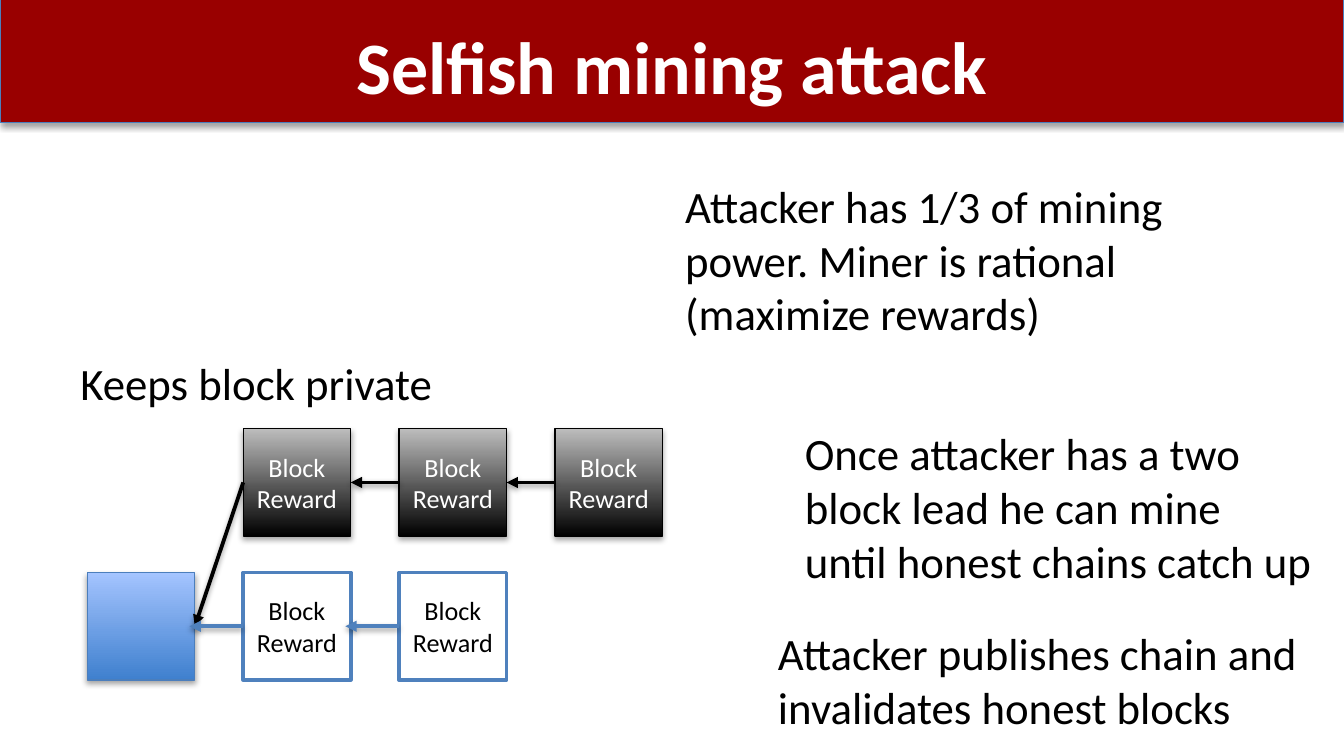
import pptx
import pptx.util
import pptx.dml.color
import pptx.enum.shapes
import pptx.enum.text
import pptx.oxml
import pptx.oxml.ns

Inches = pptx.util.Inches
Pt = pptx.util.Pt
RGB = pptx.dml.color.RGBColor.from_string
RECTANGLE = pptx.enum.shapes.MSO_SHAPE.RECTANGLE
STRAIGHT = pptx.enum.shapes.MSO_CONNECTOR.STRAIGHT
CENTER = pptx.enum.text.PP_ALIGN.CENTER
MIDDLE = pptx.enum.text.MSO_ANCHOR.MIDDLE

COLORS = {
    "band": "990000", "edge": "4B7EBC", "blue": "4F81BD",
    "blue_dark": "3F80CE", "blue_light": "A4C4FF",
    "black": "000000", "gray": "BDBDBD", "white": "FFFFFF",
}
FONT = "Calibri"
LEFT, COLUMN = 0.65, 1.16
PRIVATE_ROW, PUBLIC_ROW = 3.19, 4.26
BLOCK = 0.8
OVERLAP = 0.04


def add_shadow(shape, opacity, distance):
    properties = shape._element.spPr
    for effects in properties.findall(pptx.oxml.ns.qn("a:effectLst")):
        properties.remove(effects)
    properties.append(pptx.oxml.parse_xml(
        f'<a:effectLst {pptx.oxml.ns.nsdecls("a")}>'
        f'<a:outerShdw blurRad="{Pt(3.1)}" dist="{Pt(distance)}" dir="5400000" rotWithShape="0">'
        f'<a:srgbClr val="{COLORS["black"]}"><a:alpha val="{opacity * 1000}"/></a:srgbClr>'
        '</a:outerShdw></a:effectLst>'))


def style_text(paragraph, size, color):
    paragraph.font.name = FONT
    paragraph.font.size = Pt(size)
    paragraph.font.color.rgb = RGB(COLORS[color])


presentation = pptx.Presentation()
presentation.slide_width = Inches(10)
presentation.slide_height = presentation.slide_width * 9 // 16
slide = presentation.slides.add_slide(presentation.slide_layouts[5])

band = slide.shapes.add_shape(RECTANGLE, 0, Inches(-0.01), presentation.slide_width, Inches(0.92))
band.fill.solid()
band.fill.fore_color.rgb = RGB(COLORS["band"])
band.line.color.rgb = RGB(COLORS["edge"])
band.line.width = Pt(0.75)
add_shadow(band, 35, 1.8)

title = slide.shapes.title
title._element.addprevious(band._element)
title.left, title.top, title.width, title.height = map(Inches, (0.5, 0.14, 9, 0.68))
title.text = "Selfish mining attack"
frame = title.text_frame
frame.word_wrap = False
frame.auto_size = pptx.enum.text.MSO_AUTO_SIZE.NONE
frame.vertical_anchor = MIDDLE
frame.margin_top = frame.margin_bottom = Inches(0.05)
paragraph = frame.paragraphs[0]
paragraph.alignment = CENTER
style_text(paragraph, 39.6, "white")
paragraph.font.bold = True

blocks = {}
for name, column, row, fill, edge, width, text_color in [
    ("shared", 0, PUBLIC_ROW, ("blue_dark", "blue_light"), "edge", 0.75, None),
    ("private 1", 1, PRIVATE_ROW, ("black", "gray"), "black", 0.75, "white"),
    ("private 2", 2, PRIVATE_ROW, ("black", "gray"), "black", 0.75, "white"),
    ("private 3", 3, PRIVATE_ROW, ("black", "gray"), "black", 0.75, "white"),
    ("public 1", 1, PUBLIC_ROW, None, "blue", 2, "black"),
    ("public 2", 2, PUBLIC_ROW, None, "blue", 2, "black"),
]:
    block = slide.shapes.add_shape(
        RECTANGLE, Inches(LEFT + COLUMN * column), Inches(row), Inches(BLOCK), Inches(BLOCK))
    block.line.color.rgb = RGB(COLORS[edge])
    block.line.width = Pt(width)
    if fill:
        block.fill.gradient()
        block.fill.gradient_angle = 90
        for stop, position, color in zip(block.fill.gradient_stops, (0, 1), fill):
            stop.position = position
            stop.color.rgb = RGB(COLORS[color])
        add_shadow(block, 35, 1.8)
    else:
        block.fill.solid()
        block.fill.fore_color.rgb = RGB(COLORS["white"])
        block.shadow.inherit = False
    if text_color:
        block.text_frame.text = "Block Reward"
        block.text_frame.word_wrap = True
        block.text_frame.vertical_anchor = MIDDLE
        paragraph = block.text_frame.paragraphs[0]
        paragraph.alignment = CENTER
        style_text(paragraph, 14, text_color)
    blocks[name] = block

for parent, child, color in [
    ("shared", "private 1", "black"),
    ("private 1", "private 2", "black"),
    ("private 2", "private 3", "black"),
    ("shared", "public 1", "blue"),
    ("public 1", "public 2", "blue"),
]:
    target = blocks[parent]
    arrow = slide.shapes.add_connector(
        STRAIGHT, target.left + target.width - Inches(OVERLAP),
        target.top + target.height // 2, 0, 0)
    if color == "black":
        arrow.begin_connect(target, 3)
    arrow.end_connect(blocks[child], 1)
    arrow.line.color.rgb = RGB(COLORS[color])
    arrow.line.width = Pt(2)
    arrow.line._get_or_add_ln().append(pptx.oxml.parse_xml(
        f'<a:headEnd {pptx.oxml.ns.nsdecls("a")} type="triangle"/>'))
    add_shadow(arrow, 38, 1.6)

for text, left, top, width, height in [
    ("Attacker has 1/3 of mining power. Miner is rational (maximize rewards)", 5, 1.28, 4.17, 1.31),
    ("Keeps block private", 0.5, 2.6, 2.98, 0.5),
    ("Once attacker has a two block lead he can mine until honest chains catch up", 5.89, 3.12, 3.97, 1.31),
    ("Attacker publishes chain and invalidates honest blocks", 5.69, 4.61, 4.31, 0.91),
]:
    note = slide.shapes.add_textbox(*map(Inches, (left, top, width, height)))
    note.text_frame.text = text
    note.text_frame.word_wrap = True
    note.text_frame.auto_size = pptx.enum.text.MSO_AUTO_SIZE.SHAPE_TO_FIT_TEXT
    style_text(note.text_frame.paragraphs[0], 24, "black")

presentation.save("out.pptx")
